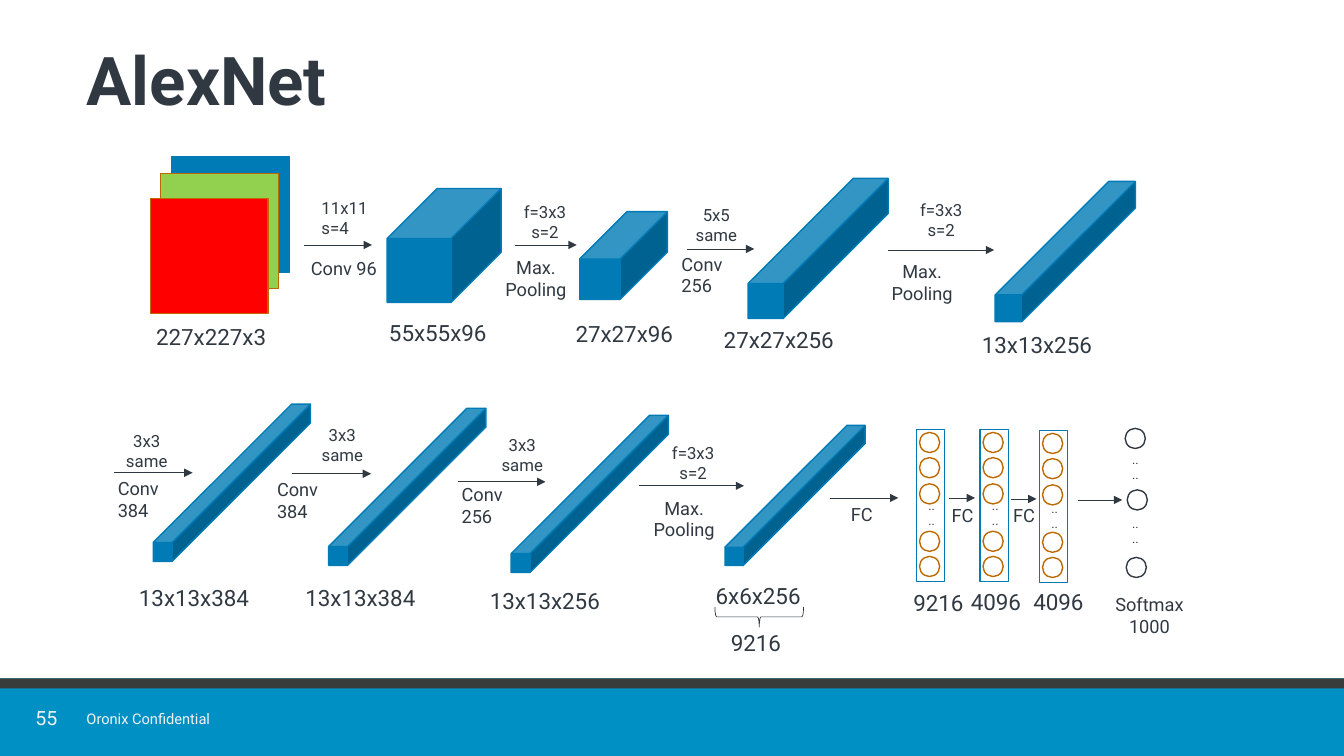
from dataclasses import dataclass
from typing import Optional

from lxml import etree
from pptx import Presentation
from pptx.dml.color import RGBColor
from pptx.enum.shapes import MSO_CONNECTOR, MSO_SHAPE
from pptx.enum.text import MSO_ANCHOR, MSO_AUTO_SIZE, PP_ALIGN
from pptx.oxml.ns import qn
from pptx.util import Cm, Pt

RECTANGLE, CUBE = MSO_SHAPE.RECTANGLE, MSO_SHAPE.CUBE
OVAL, BRACE = MSO_SHAPE.OVAL, MSO_SHAPE.RIGHT_BRACE
STRAIGHT = MSO_CONNECTOR.STRAIGHT
LEFT, CENTER = PP_ALIGN.LEFT, PP_ALIGN.CENTER
TOP, MIDDLE = MSO_ANCHOR.TOP, MSO_ANCHOR.MIDDLE
GROW = MSO_AUTO_SIZE.SHAPE_TO_FIT_TEXT

FONT = "Roboto"
INK = RGBColor(0x30, 0x39, 0x42)
BLUE = RGBColor(0x00, 0x7B, 0xB6)
ORANGE = RGBColor(0xBD, 0x69, 0x00)
GREEN = RGBColor(0x92, 0xD0, 0x50)
RED = RGBColor(0xFF, 0x00, 0x00)
BAND_BLUE = RGBColor(0x00, 0x90, 0xC3)
BAND_DARK = RGBColor(0x38, 0x3D, 0x3B)
PALE = RGBColor(0xF2, 0xF2, 0xF2)

CM_PER_UNIT = 2.54  # layout numbers below count units of 2.54 cm
NODE = 0.2


@dataclass(frozen=True)
class TextStyle:
    size: float
    height: float
    alignment: PP_ALIGN = LEFT
    color: RGBColor = INK


@dataclass(frozen=True)
class Label:
    text: str
    left: float
    top: float
    width: float
    style: TextStyle


@dataclass(frozen=True)
class Volume:
    left: float
    top: float
    side: float
    depth: float


@dataclass(frozen=True)
class Arrow:
    start: float
    end: float
    y: float


@dataclass(frozen=True)
class Layer:
    left: float
    top: float
    dots_drop: float


SIZE = TextStyle(16, 0.37)
KERNEL = TextStyle(12, 0.5, CENTER)
KERNEL_LEFT = TextStyle(12, 0.5)
OPERATION = TextStyle(13, 0.61, CENTER)
CONV = TextStyle(13, 0.71)
CONNECTED = TextStyle(13, 0.35)
DOTS = TextStyle(9, 0.35)
FOOTER = TextStyle(10.5, 0.28, LEFT, PALE)

VOLUMES = [
    Volume(3.84, 1.87, 1.13, 0.44), Volume(5.75, 2.1, 0.87, 0.54),
    Volume(7.42, 1.77, 1.39, 0.75), Volume(9.87, 1.8, 1.39, 0.81),
    Volume(1.52, 4.01, 1.56, 0.88), Volume(3.26, 4.05, 1.56, 0.88),
    Volume(5.07, 4.12, 1.56, 0.88), Volume(7.19, 4.22, 1.39, 0.87),
]
ARROWS = [
    Arrow(3.02, 3.69, 2.43), Arrow(5.11, 5.72, 2.43), Arrow(6.81, 7.48, 2.47),
    Arrow(8.81, 9.86, 2.48), Arrow(1.13, 1.91, 4.69), Arrow(2.9, 3.68, 4.7),
    Arrow(4.54, 5.41, 4.78), Arrow(6.34, 7.38, 4.82), Arrow(8.23, 8.91, 4.94),
    Arrow(9.41, 9.67, 4.94), Arrow(10.03, 10.28, 4.95), Arrow(10.69, 11.13, 4.96),
]
LABELS = [
    # Volume sizes
    Label("227x227x3", 1.45, 3.16, 1.44, SIZE), Label("55x55x96", 3.76, 3.12, 1.3, SIZE),
    Label("27x27x96", 5.61, 3.13, 1.23, SIZE), Label("27x27x256", 7.08, 3.19, 1.74, SIZE),
    Label("13x13x256", 9.64, 3.24, 1.84, SIZE), Label("13x13x384", 1.28, 5.75, 1.43, SIZE),
    Label("13x13x384", 2.93, 5.75, 1.61, SIZE), Label("13x13x256", 4.76, 5.78, 1.54, SIZE),
    Label("6x6x256", 7, 5.73, 1.17, SIZE), Label("9216", 7.15, 6.19, 1.02, SIZE),
    Label("9216", 8.96, 5.8, 0.99, SIZE), Label("4096", 9.53, 5.79, 0.88, SIZE),
    Label("4096", 10.15, 5.79, 0.82, SIZE),
    # Kernels above the arrows
    Label("11x11\ns=4", 3.09, 1.91, 0.74, KERNEL_LEFT),
    Label("f=3x3\ns=2", 4.97, 1.95, 0.87, KERNEL),
    Label("5x5\nsame", 6.75, 1.98, 0.71, KERNEL),
    Label("f=3x3\ns=2", 8.91, 1.93, 0.85, KERNEL),
    Label("3x3\nsame", 1, 4.22, 0.91, KERNEL),
    Label("3x3\nsame", 2.95, 4.16, 0.89, KERNEL),
    Label("3x3\nsame", 4.74, 4.26, 0.88, KERNEL),
    Label("f=3x3\ns=2", 6.41, 4.34, 0.93, KERNEL),
    # Operations below the arrows
    Label("Conv 96", 2.77, 2.5, 1.28, OPERATION),
    Label("Max.\nPooling", 4.82, 2.49, 0.99, OPERATION),
    Label("Conv\n256", 6.66, 2.46, 0.88, CONV),
    Label("Max.\nPooling", 8.65, 2.53, 0.99, OPERATION),
    Label("Conv\n384", 1.07, 4.69, 0.97, CONV),
    Label("Conv\n384", 2.65, 4.7, 0.97, CONV),
    Label("Conv\n256", 4.48, 4.75, 1.12, CONV),
    Label("Max.\nPooling", 6.29, 4.88, 0.99, OPERATION),
    Label("FC", 8.34, 4.94, 0.46, CONNECTED), Label("FC", 9.34, 4.95, 0.46, CONNECTED),
    Label("FC", 9.95, 4.95, 0.46, CONNECTED),
    Label("Softmax\n1000", 10.91, 5.84, 0.98, OPERATION),
    # Gaps between the output nodes
    Label("..\n..", 11.13, 4.43, 0.28, DOTS), Label("..\n..", 11.13, 5.07, 0.28, DOTS),
]
LAYERS = [Layer(9.09, 4.26, 0.63), Layer(9.72, 4.26, 0.63), Layer(10.31, 4.27, 0.65)]
NODE_DROPS = [0.03, 0.28, 0.54, 1.01, 1.26]
OUTPUT_NODES = [(11.16, 4.25), (11.18, 4.86), (11.17, 5.53)]
CHANNELS = [(1.7, 1.56, BLUE, BLUE), (1.59, 1.72, GREEN, ORANGE), (1.49, 1.97, RED, ORANGE)]


def length(units: float) -> Cm:
    return Cm(units * CM_PER_UNIT)


def apply(target, values: dict) -> None:
    for name, value in values.items():
        setattr(target, name, value)


def add_shape(slide, kind, box: tuple, fill: Optional[RGBColor] = None,
              line: Optional[RGBColor] = None, line_width: float = 1):
    shape = slide.shapes.add_shape(kind, *map(length, box))
    shape.shadow.inherit = False
    if fill is None:
        shape.fill.background()
    else:
        shape.fill.solid()
        shape.fill.fore_color.rgb = fill
    if line is None:
        shape.line.fill.background()
    else:
        shape.line.color.rgb = line
        shape.line.width = Pt(line_width)
    return shape


def format_text(frame, text: str, style: TextStyle, bold: bool = False,
                spacing: float = 1) -> None:
    frame.text = text
    for paragraph in frame.paragraphs:
        apply(paragraph, {"alignment": style.alignment, "line_spacing": spacing})
        apply(paragraph.font, {"name": FONT, "size": Pt(style.size), "bold": bold})
        paragraph.font.color.rgb = style.color


def add_label(slide, label: Label, wrap: bool = True) -> None:
    box = (label.left, label.top, label.width, label.style.height)
    frame = slide.shapes.add_textbox(*map(length, box)).text_frame
    apply(frame, {"word_wrap": wrap, "auto_size": GROW, "vertical_anchor": TOP})
    format_text(frame, label.text, label.style)


def add_arrow(slide, arrow: Arrow) -> None:
    ends = (arrow.start, arrow.y, arrow.end, arrow.y)
    connector = slide.shapes.add_connector(STRAIGHT, *map(length, ends))
    connector.line.color.rgb = INK
    connector.line.width = Pt(0.5)
    properties = connector.element.spPr
    etree.SubElement(properties.find(qn("a:ln")), qn("a:tailEnd"), type="triangle")
    etree.SubElement(properties, qn("a:effectLst"))


def add_layer(slide, layer: Layer) -> None:
    add_shape(slide, RECTANGLE, (layer.left, layer.top, 0.28, 1.51), line=BLUE)
    for drop in NODE_DROPS:
        add_shape(slide, OVAL, (layer.left + 0.03, layer.top + drop, NODE, NODE), line=ORANGE)
    add_label(slide, Label("..\n..", layer.left + 0.02, layer.top + layer.dots_drop, 0.28, DOTS))


def add_footer(slide) -> None:
    add_shape(slide, RECTANGLE, (0, 6.73, 13.33, 0.77), BAND_BLUE)
    add_shape(slide, RECTANGLE, (0, 6.73, 13.33, 0.1), BAND_DARK)
    frame = slide.shapes.add_textbox(*map(length, (0.33, 7.02, 0.26, 0.23))).text_frame
    apply(frame, {"margin_left": 0, "margin_right": 0, "margin_top": 0,
                  "margin_bottom": 0, "vertical_anchor": MIDDLE, "word_wrap": True})
    format_text(frame, "55", TextStyle(14, 0.23, CENTER, PALE), spacing=0.9)
    add_label(slide, Label("Oronix Confidential", 0.76, 6.99, 1.6, FOOTER), wrap=False)


def add_title(slide) -> None:
    title = slide.shapes.title
    apply(title, {"left": length(0.76), "top": length(0.32),
                  "width": length(11.91), "height": length(1.08)})
    title.text_frame.vertical_anchor = MIDDLE
    format_text(title.text_frame, "AlexNet", TextStyle(48, 1.08), bold=True, spacing=0.8)


def main() -> None:
    presentation = Presentation()
    apply(presentation, {"slide_width": length(13.33), "slide_height": length(7.5)})
    slide = presentation.slides.add_slide(presentation.slide_layouts[5])
    add_footer(slide)
    add_title(slide)

    # Input channels and convolution volumes
    for left, top, fill, line in CHANNELS:
        add_shape(slide, RECTANGLE, (left, top, 1.17, 1.14), fill, line)
    for volume in VOLUMES:
        box = (volume.left, volume.top, volume.side, volume.side)
        add_shape(slide, CUBE, box, BLUE, BLUE).adjustments[0] = volume.depth

    # Fully connected layers and output
    for layer in LAYERS:
        add_layer(slide, layer)
    for left, top in OUTPUT_NODES:
        add_shape(slide, OVAL, (left, top, NODE, NODE), line=INK)
    add_shape(slide, BRACE, (7.43, 5.68, 0.2, 0.88), line=INK, line_width=0.5).rotation = 90

    # Arrows and captions
    for arrow in ARROWS:
        add_arrow(slide, arrow)
    for label in LABELS:
        add_label(slide, label)
    presentation.save("out.pptx")


if __name__ == "__main__":
    main()
